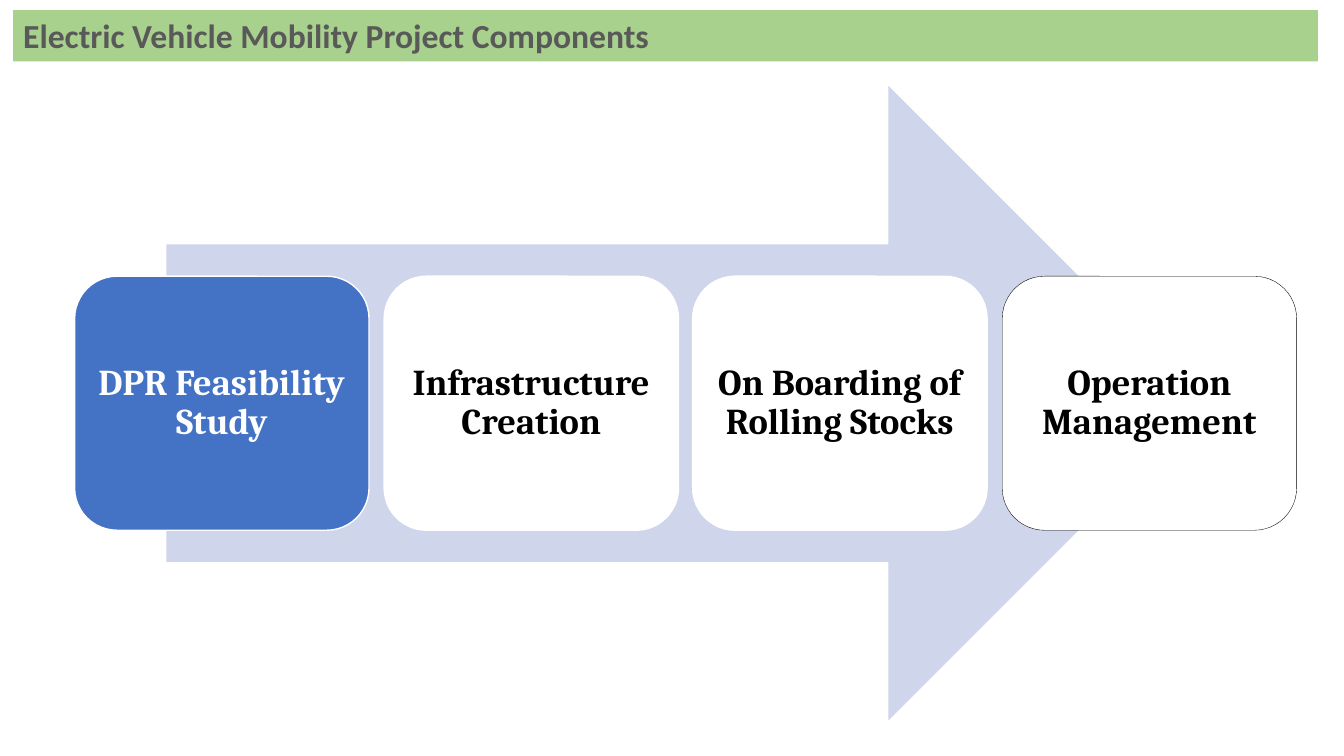
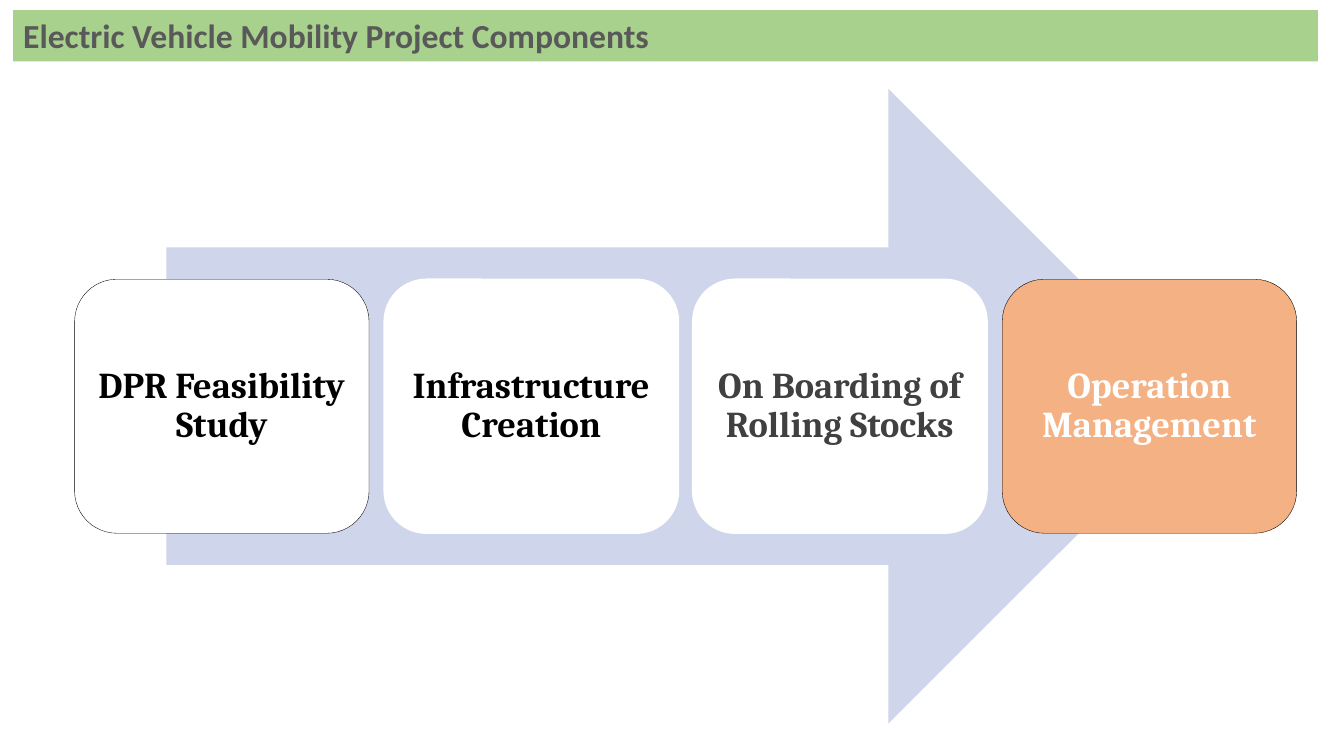
from dataclasses import dataclass

import pptx
import pptx.dml.color
import pptx.enum.shapes
import pptx.enum.text
import pptx.util

SHAPE = pptx.enum.shapes.MSO_SHAPE
ALIGN = pptx.enum.text.PP_ALIGN
ANCHOR = pptx.enum.text.MSO_ANCHOR
PX = 9144  # EMU, 100 px to the inch


@dataclass(frozen=True)
class Theme:
    white: str = "FFFFFF"
    black: str = "000000"
    dark_gray: str = "404040"
    blue: str = "4472C4"
    orange: str = "F4B183"
    arrow: str = "CFD5EA"
    band: str = "A9D18E"
    title: str = "595959"
    title_font: str = "Calibri"
    title_size: int = 24
    card_font: str = "Cambria"
    card_size: int = 26
    hairline: float = 0.25
    border: float = 1


THEME = Theme()
TITLE = "Electric Vehicle Mobility Project Components"
STEPS = ["DPR Feasibility Study", "Infrastructure Creation",
         "On Boarding of Rolling Stocks", "Operation Management"]

ARROW_LEFT, ARROW_W, ARROW_H = 165, 1031, 630
ROW_LEFT, ROW_RIGHT = 74, 1286
CARD_W, CARD_H, CARD_INSET = 292, 252, 11

# (fill, line, line width, text) of a card
PLAIN = (THEME.white, THEME.white, THEME.border, THEME.black)
MUTED = (THEME.white, THEME.white, THEME.border, THEME.dark_gray)
OUTLINED = (THEME.white, THEME.black, THEME.hairline, THEME.black)
BLUE = (THEME.blue, THEME.white, THEME.border, THEME.white)
ORANGE = (THEME.orange, THEME.black, THEME.hairline, THEME.white)

# Top of the arrow and the style of each step, slide by slide
SLIDES = [
    (85, [BLUE, PLAIN, PLAIN, OUTLINED]),
    (88, [OUTLINED, PLAIN, MUTED, ORANGE]),
]


def rgb(value):
    return pptx.dml.color.RGBColor.from_string(value)


class Deck:
    def __init__(self, theme):
        self.theme = theme
        self.prs = pptx.Presentation()
        self.prs.slide_width = 1333 * PX
        self.prs.slide_height = 750 * PX
        self.s = None

    def add_slide(self, title):
        """Start a slide with its title in the green band."""
        self.s = self.prs.slides.add_slide(self.prs.slide_layouts[5])
        sp = self.s.shapes.title
        sp.left, sp.top, sp.width, sp.height = (v * PX for v in (13, 10, 1294, 51))
        self.paint(sp, self.theme.band)
        self.add_text(sp, title, self.theme.title_font, self.theme.title_size,
                      self.theme.title, ALIGN.LEFT, ANCHOR.TOP)

    def paint(self, sp, fill, line=None, width=0):
        sp.fill.solid()
        sp.fill.fore_color.rgb = rgb(fill)
        if line:
            sp.line.color.rgb = rgb(line)
            sp.line.width = pptx.util.Pt(width)
        else:
            sp.line.fill.background()

    def add_text(self, sp, text, font, size, color, align, anchor):
        tf = sp.text_frame
        tf.word_wrap = True
        tf.auto_size = pptx.enum.text.MSO_AUTO_SIZE.NONE
        tf.vertical_anchor = anchor
        p = tf.paragraphs[0]
        p.alignment = align
        r = p.add_run()
        r.text = text
        r.font.name = font
        r.font.size = pptx.util.Pt(size)
        r.font.bold = True
        r.font.color.rgb = rgb(color)
        return tf

    def shape(self, kind, x, y, w, h, fill, line=None, width=0):
        sp = self.s.shapes.add_shape(kind, x * PX, y * PX, w * PX, h * PX)
        sp.shadow.inherit = False
        self.paint(sp, fill, line, width)
        return sp

    def card(self, x, y, text, style):
        fill, line, width, color = style
        sp = self.shape(SHAPE.ROUNDED_RECTANGLE, x, y, CARD_W, CARD_H,
                        fill, line, width)
        tf = self.add_text(sp, text, self.theme.card_font, self.theme.card_size,
                           color, ALIGN.CENTER, ANCHOR.MIDDLE)
        tf.margin_left = tf.margin_right = CARD_INSET * PX
        tf.margin_top = tf.margin_bottom = CARD_INSET * PX
        tf.paragraphs[0].line_spacing = 0.9

    def process(self, top, steps, styles):
        """Draw the arrow with evenly spaced cards along its middle."""
        self.shape(SHAPE.RIGHT_ARROW, ARROW_LEFT, top, ARROW_W, ARROW_H,
                   self.theme.arrow)
        pitch = (ROW_RIGHT - ROW_LEFT - CARD_W) / (len(steps) - 1)
        card_top = top + (ARROW_H - CARD_H) // 2
        for i, (step, style) in enumerate(zip(steps, styles)):
            self.card(ROW_LEFT + round(i * pitch), card_top, step, style)


def main():
    deck = Deck(THEME)
    for top, styles in SLIDES:
        deck.add_slide(TITLE)
        deck.process(top, STEPS, styles)
    deck.prs.save("out.pptx")


if __name__ == "__main__":
    main()
